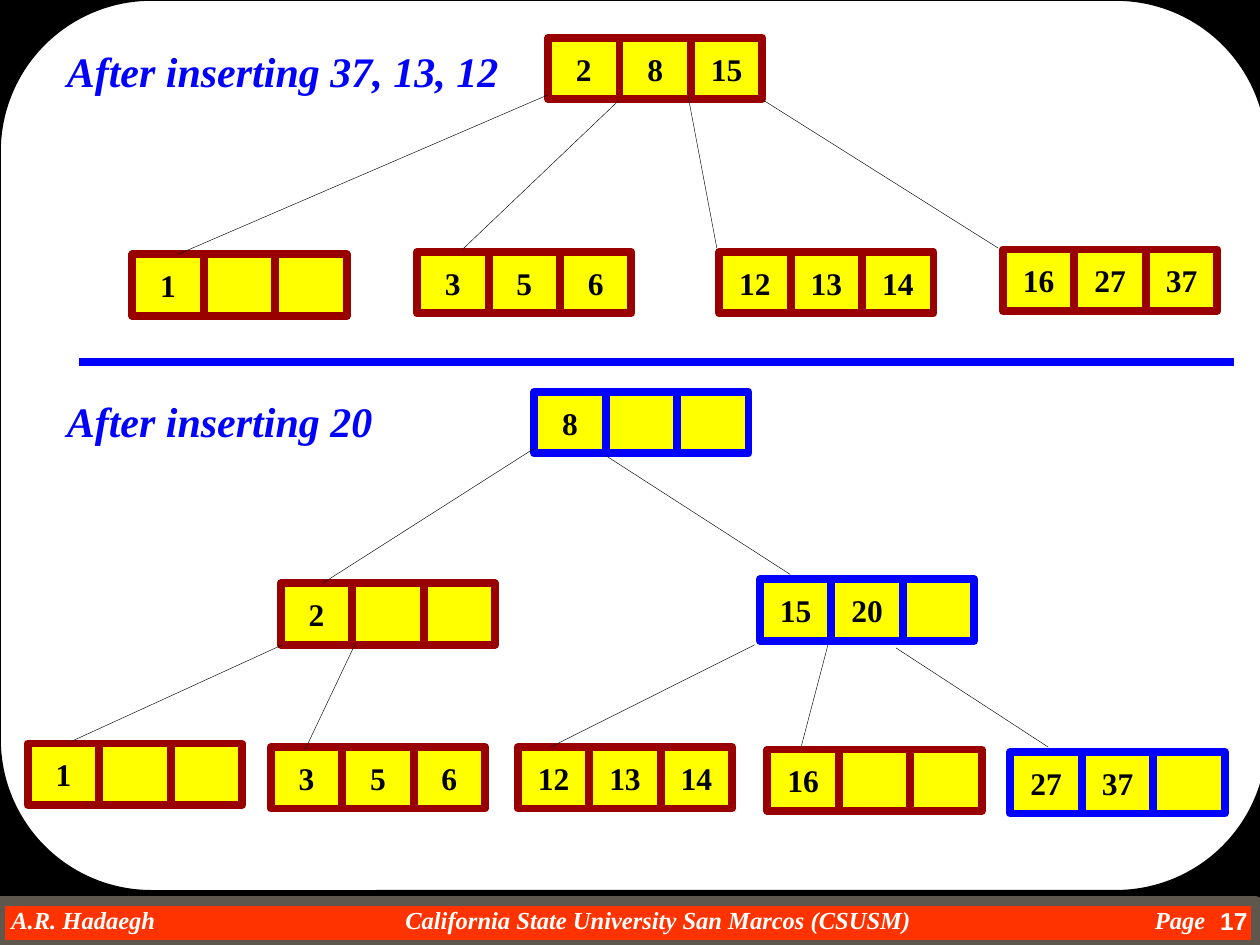
from lxml.etree import SubElement
from pptx import Presentation
from pptx.dml.color import RGBColor
from pptx.enum.shapes import MSO_CONNECTOR as Link, MSO_SHAPE as Shape
from pptx.enum.text import MSO_ANCHOR as Anchor, PP_ALIGN as Align
from pptx.oxml.ns import qn
from pptx.util import Cm, Pt

BLACK = RGBColor(0x00, 0x00, 0x00)
WHITE = RGBColor(0xFF, 0xFF, 0xFF)
BLUE = RGBColor(0x00, 0x00, 0xFF)
DARK_RED = RGBColor(0x99, 0x00, 0x00)
YELLOW = RGBColor(0xFF, 0xFF, 0x00)
ORANGE = RGBColor(0xFF, 0x33, 0x00)
GRAY = RGBColor(0x5E, 0x57, 0x4E)

SERIF = "Times New Roman"
CELL_WIDTH, CELL_HEIGHT = 1.44, 1.24
KEYS_PER_NODE = 3

FIRST_NODES = [
    (11.05, 0.76, DARK_RED, ["2", "8", "15"]),
    (2.67, 5.13, DARK_RED, ["1"]),
    (8.41, 5.08, DARK_RED, ["3", "5", "6"]),
    (14.5, 5.08, DARK_RED, ["12", "13", "14"]),
    (20.22, 5.03, DARK_RED, ["16", "27", "37"]),
]
FIRST_EDGES = [
    (11.05, 1.91, 3.58, 5.13),
    (12.47, 2.03, 9.32, 5.03),
    (13.87, 1.93, 14.45, 5.0),
    (15.37, 2.01, 20.12, 5.0),
]
SECOND_NODES = [
    (10.77, 0.61, BLUE, ["8"]),
    (5.66, 4.47, DARK_RED, ["2"]),
    (15.32, 4.39, BLUE, ["15", "20"]),
    (0.56, 7.7, DARK_RED, ["1"]),
    (5.46, 7.77, DARK_RED, ["3", "5", "6"]),
    (10.44, 7.77, DARK_RED, ["12", "13", "14"]),
    (15.47, 7.82, DARK_RED, ["16"]),
    (20.37, 7.87, BLUE, ["27", "37"]),
]
SECOND_EDGES = [
    (10.77, 1.75, 6.5, 4.47),
    (12.22, 1.9, 15.93, 4.29),
    (5.69, 5.71, 1.45, 7.65),
    (7.16, 5.69, 6.15, 7.82),
    (15.21, 5.71, 11.1, 7.77),
    (16.69, 5.71, 16.15, 7.77),
    (18.06, 5.77, 21.13, 7.77),
]


def write(frame, text, size, color, align=Align.CENTER, italic=False, font=SERIF):
    frame.word_wrap = False
    frame.vertical_anchor = Anchor.MIDDLE
    paragraph = frame.paragraphs[0]
    paragraph.alignment = align
    run = paragraph.add_run()
    run.text = text
    run.font.name = font
    run.font.size = Pt(size)
    run.font.bold = True
    run.font.italic = italic
    run.font.color.rgb = color


def clear_margins(frame):
    frame.margin_left = frame.margin_right = 0
    frame.margin_top = frame.margin_bottom = 0


def add_box(shapes, kind, left, top, width, height, fill, line, weight):
    box = shapes.add_shape(kind, Cm(left), Cm(top), Cm(width), Cm(height))
    box.shadow.inherit = False
    box.fill.solid()
    box.fill.fore_color.rgb = fill
    box.line.color.rgb = line
    box.line.width = Pt(weight)
    return box


def add_line(slide, x1, y1, x2, y2, color, weight):
    line = slide.shapes.add_connector(Link.STRAIGHT, Cm(x1), Cm(y1), Cm(x2), Cm(y2))
    line.line.color.rgb = color
    line.line.width = Pt(weight)
    SubElement(line.element.spPr, qn("a:effectLst"))


def add_node(slide, left, top, border, keys):
    cells = slide.shapes.add_group_shape().shapes
    for slot in range(KEYS_PER_NODE):
        cell = add_box(cells, Shape.RECTANGLE, left + slot * CELL_WIDTH, top,
                       CELL_WIDTH, CELL_HEIGHT, YELLOW, border, 4.5)
        if slot < len(keys):
            clear_margins(cell.text_frame)
            write(cell.text_frame, keys[slot], 18, BLACK)


def add_tree(slide, top, nodes, edges):
    for left, offset, border, keys in nodes:
        add_node(slide, left, top + offset, border, keys)
    for x1, y1, x2, y2 in edges:
        add_line(slide, x1, top + y1, x2, top + y2, BLACK, 0.25)


def format_heading(heading, left, top, width, text):
    heading.left, heading.top = Cm(left), Cm(top)
    heading.width, heading.height = Cm(width), Cm(1.27)
    write(heading.text_frame, text, 24, BLUE, italic=True)


def add_panel(slide, width, height):
    panel = add_box(slide.shapes, Shape.ROUNDED_RECTANGLE, 0, 0, width, height,
                    WHITE, BLACK, 1)
    panel.adjustments[0] = 0.17


def add_footer(slide, top, width, height):
    add_box(slide.shapes, Shape.RECTANGLE, 0, top, width, height, ORANGE, GRAY, 6)
    parts = [
        (0.23, 4, Align.LEFT, "A.R. Hadaegh"),
        (7.27, 12, Align.CENTER, "California State University San Marcos (CSUSM)"),
        (22.3, 2, Align.RIGHT, "Page"),
    ]
    for left, part_width, align, text in parts:
        part = slide.shapes.add_textbox(Cm(left), Cm(top + 0.08), Cm(part_width), Cm(0.6))
        clear_margins(part.text_frame)
        write(part.text_frame, text, 14, WHITE, align, italic=True)
    number = slide.shapes.add_textbox(Cm(23.5), Cm(top - 0.08), Cm(1.9), Cm(0.97))
    write(number.text_frame, "17", 14, WHITE, Align.RIGHT, font="Arial")


def main():
    deck = Presentation()
    deck.slide_width, deck.slide_height = Cm(25.4), Cm(19.05)
    slide = deck.slides.add_slide(deck.slide_layouts[5])
    slide.background.fill.solid()
    slide.background.fill.fore_color.rgb = BLACK

    add_panel(slide, 25.55, 17.96)
    add_footer(slide, 18.16, 25.32, 0.89)

    title = slide.shapes.title
    slide.shapes.element.append(title.element)
    format_heading(title, 1.09, 0.79, 9.22, "After inserting 37, 13, 12")
    add_tree(slide, 0, FIRST_NODES, FIRST_EDGES)

    divider = 7.29
    add_line(slide, 1.6, divider, 24.87, divider, BLUE, 4.5)

    subheading = slide.shapes.add_textbox(0, 0, 0, 0)
    format_heading(subheading, 1.09, divider + 0.56, 6.68, "After inserting 20")
    add_tree(slide, divider, SECOND_NODES, SECOND_EDGES)

    deck.save("out.pptx")


if __name__ == "__main__":
    main()
